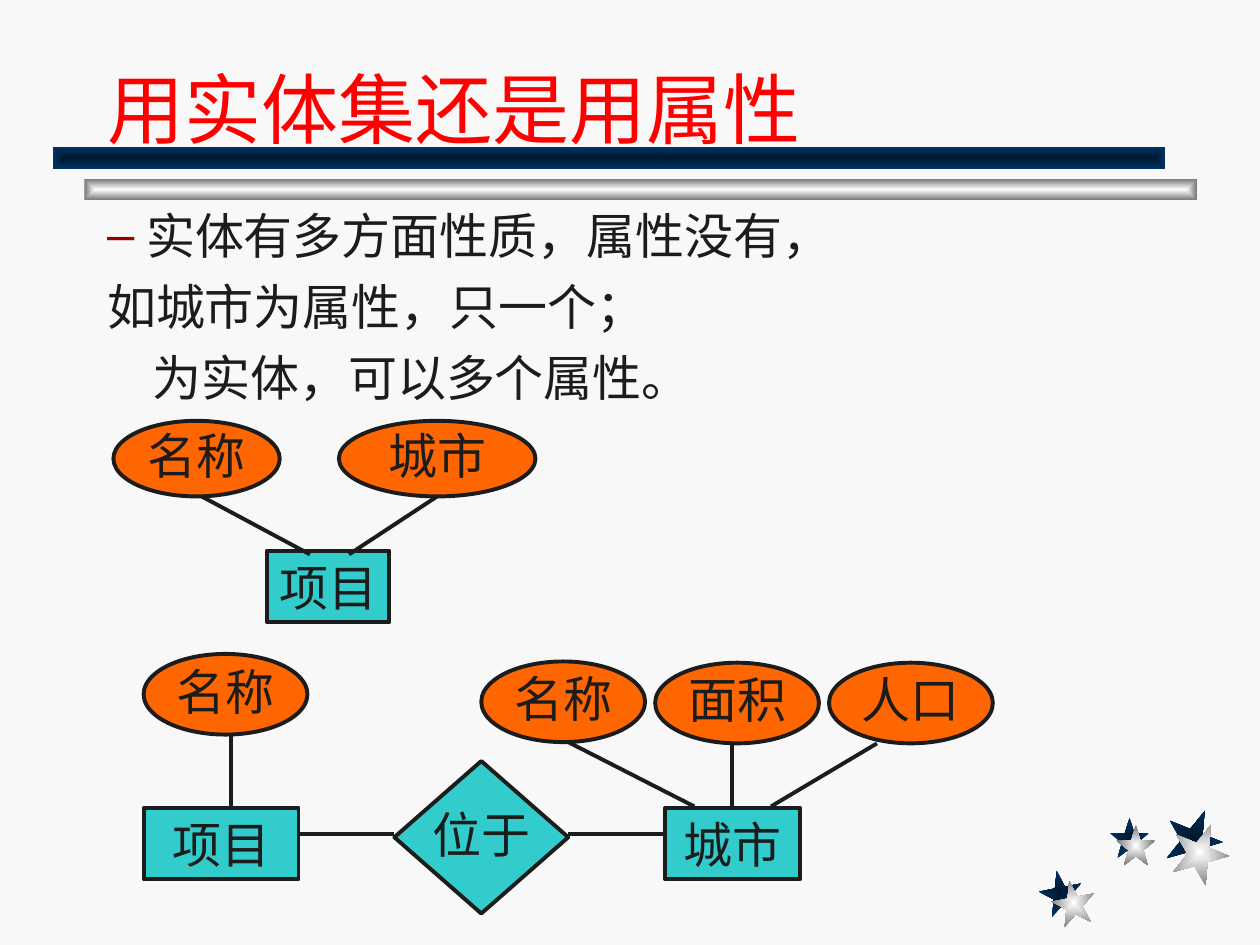
from lxml.etree import SubElement
from pptx import Presentation
from pptx.dml.color import RGBColor
from pptx.enum.shapes import MSO_CONNECTOR, MSO_SHAPE
from pptx.enum.text import MSO_ANCHOR, MSO_AUTO_SIZE, PP_ALIGN
from pptx.oxml.ns import qn
from pptx.util import Inches, Pt

COLORS = {
    "background": "F8F8F8",
    "title": "FF0000",
    "ink": "1C1C1C",
    "bullet": "990000",
    "entity": "33CCCC",
    "attribute": "FF6600",
    "navy_center": "00182F",
    "navy_edge": "003366",
    "silver_center": "FFFFFF",
    "silver_edge": "767676",
}


def color(name):
    """Return the named palette colour."""
    return RGBColor.from_string(COLORS[name])


def place(shape, left, top, width, height):
    """Move and size a shape, in inches."""
    shape.left, shape.top = Inches(left), Inches(top)
    shape.width, shape.height = Inches(width), Inches(height)


def format_runs(paragraph, size, font_name, color_name):
    """Format every run of a paragraph."""
    for run in paragraph.runs:
        run.font.size = Pt(size)
        run.font.name = font_name
        run.font.color.rgb = color(color_name)


def add_box(slide, kind, left, top, width, height):
    """Add a preset shape without a shadow."""
    shape = slide.shapes.add_shape(
        kind, Inches(left), Inches(top), Inches(width), Inches(height)
    )
    shape.shadow.inherit = False
    return shape


def add_ornament(slide, kind, left, top, width, height, tone):
    """Add a borderless shape shaded from its centre outwards."""
    shape = add_box(slide, kind, left, top, width, height)
    shape.line.fill.background()
    shape.fill.gradient()
    for stop, part, position in zip(shape.fill.gradient_stops, ("center", "edge"), (0, 1)):
        stop.color.rgb = color(f"{tone}_{part}")
        stop.position = position
    gradient = shape.element.spPr.find(qn("a:gradFill"))
    gradient.remove(gradient.find(qn("a:lin")))
    shading = SubElement(gradient, qn("a:path"), path="rect")
    SubElement(shading, qn("a:fillToRect"), l="50000", t="50000", r="50000", b="50000")
    return shape


def add_bars(slide, left, top):
    """Add the two offset bars under the title."""
    for offset, tone in ((0.25, "silver"), (0, "navy")):
        add_ornament(slide, MSO_SHAPE.RECTANGLE, left + offset, top + offset, 8.83, 0.17, tone)


def add_stars(slide, left, top):
    """Add three navy stars, each with a silver star in front."""
    stars = (
        (0, 0.49, 0.34, 349, 0.1, 0.08),
        (0.56, 0.07, 0.31, 0, 0.05, 0.06),
        (1, 0, 0.45, 22, 0.05, 0.11),
    )
    for x, y, size, rotation, shift_x, shift_y in stars:
        for tone, step in (("navy", 0), ("silver", 1)):
            star = add_ornament(
                slide, MSO_SHAPE.STAR_5_POINT,
                left + x + step * shift_x, top + y + step * shift_y, size, size + 0.01, tone,
            )
            star.rotation = rotation


def add_title(slide, left, top, width, height):
    """Fill the title placeholder."""
    title = slide.shapes.title
    place(title, left, top, width, height)
    frame = title.text_frame
    frame.text = "用实体集还是用属性"
    frame.auto_size = MSO_AUTO_SIZE.NONE
    frame.vertical_anchor = MSO_ANCHOR.BOTTOM
    paragraph = frame.paragraphs[0]
    paragraph.alignment = PP_ALIGN.LEFT
    format_runs(paragraph, 44, "Roboto", "title")


def add_body(slide, left, top, width, height):
    """Fill the body placeholder with one bullet and its two continuation lines."""
    body = slide.placeholders[1]
    place(body, left, top, width, height)
    frame = body.text_frame
    lines = (
        ("实体有多方面性质，属性没有，", 0.81, -0.31, "–"),
        ("如城市为属性，只一个；", 0.81, -0.31, None),
        ("为实体，可以多个属性。", 0.86, 0, None),
    )
    frame.text = "\n".join(line[0] for line in lines)
    frame.auto_size = MSO_AUTO_SIZE.NONE
    for index, (paragraph, line) in enumerate(zip(frame.paragraphs, lines)):
        _, margin, indent, bullet = line
        paragraph.level = 1
        paragraph.alignment = PP_ALIGN.JUSTIFY
        paragraph.space_before = Pt(7 if index else 0)
        properties = paragraph._p.get_or_add_pPr()
        properties.set("marL", str(Inches(margin)))
        properties.set("indent", str(Inches(indent)))
        if bullet:
            bullet_color = SubElement(properties, qn("a:buClr"))
            SubElement(bullet_color, qn("a:srgbClr"), val=COLORS["bullet"])
            SubElement(properties, qn("a:buChar"), char=bullet)
        else:
            SubElement(properties, qn("a:buNone"))
        format_runs(paragraph, 28, "Roboto", "ink")


def add_node(slide, kind, text, left, top, width, height):
    """Add a labelled entity, relationship or attribute."""
    node = add_box(slide, kind, left, top, width, height)
    is_entity = kind == MSO_SHAPE.RECTANGLE
    node.fill.solid()
    node.fill.fore_color.rgb = color("attribute" if kind == MSO_SHAPE.OVAL else "entity")
    node.line.color.rgb = color("ink")
    node.line.width = Pt(2.25)
    frame = node.text_frame
    frame.text = text
    frame.word_wrap = False
    frame.vertical_anchor = MSO_ANCHOR.MIDDLE
    paragraph = frame.paragraphs[0]
    paragraph.alignment = PP_ALIGN.CENTER
    paragraph.line_spacing = 1.0 if is_entity else 0.9
    format_runs(paragraph, 28, "Times New Roman", "ink")


def add_link(slide, start_x, start_y, end_x, end_y):
    """Add a plain line between two nodes."""
    link = slide.shapes.add_connector(
        MSO_CONNECTOR.STRAIGHT,
        Inches(start_x), Inches(start_y), Inches(end_x), Inches(end_y),
    )
    link.line.color.rgb = color("ink")
    link.line.width = Pt(2.25)
    SubElement(link.element.spPr, qn("a:effectLst"))


def add_diagram(slide, left, top, nodes, links):
    """Add nodes and links placed relative to the diagram's corner."""
    for kind, text, x, y, width, height in nodes:
        add_node(slide, kind, text, left + x, top + y, width, height)
    for start_x, start_y, end_x, end_y in links:
        add_link(slide, left + start_x, top + start_y, left + end_x, top + end_y)


def add_city_as_attribute(slide, left, top):
    """Draw the project entity with the city as an attribute."""
    nodes = (
        (MSO_SHAPE.RECTANGLE, "项目", 1.22, 1.03, 0.97, 0.57),
        (MSO_SHAPE.OVAL, "名称", 0, 0, 1.32, 0.6),
        (MSO_SHAPE.OVAL, "城市", 1.79, 0, 1.56, 0.6),
    )
    links = ((2.57, 0.6, 1.87, 1.06), (1.56, 1.06, 0.7, 0.6))
    add_diagram(slide, left, top, nodes, links)


def add_city_as_entity(slide, left, top):
    """Draw the project and the city as related entities."""
    attributes = (("名称", 0, 0), ("名称", 2.68, 0.06), ("面积", 4.06, 0.07), ("人口", 5.44, 0.07))
    nodes = (
        (MSO_SHAPE.RECTANGLE, "项目", 0, 1.22, 1.23, 0.57),
        (MSO_SHAPE.RECTANGLE, "城市", 4.14, 1.22, 1.07, 0.57),
        (MSO_SHAPE.DIAMOND, "位于", 1.99, 0.85, 1.38, 1.21),
        *((MSO_SHAPE.OVAL, text, x, y, 1.3, 0.64) for text, x, y in attributes),
    )
    links = (
        (1.23, 1.43, 1.99, 1.43),
        (3.37, 1.43, 4.14, 1.43),
        (0.69, 1.21, 0.69, 0.64),
        (4.37, 1.21, 3.37, 0.7),
        (4.67, 1.21, 4.67, 0.71),
        (4.98, 1.21, 5.82, 0.71),
    )
    add_diagram(slide, left, top, nodes, links)


def main():
    """Build and save the slide."""
    presentation = Presentation()
    presentation.slide_width, presentation.slide_height = Inches(10), Inches(7.5)
    slide = presentation.slides.add_slide(presentation.slide_layouts[1])
    slide.background.fill.solid()
    slide.background.fill.fore_color.rgb = color("background")
    add_stars(slide, 8.25, 6.42)
    add_bars(slide, 0.42, 1.17)
    add_title(slide, 0.75, 0.25, 8.52, 1.02)
    add_body(slide, 0.25, 1.58, 9.54, 5.67)
    add_city_as_attribute(slide, 0.9, 3.34)
    add_city_as_entity(slide, 1.14, 5.19)
    presentation.save("out.pptx")


if __name__ == "__main__":
    main()
